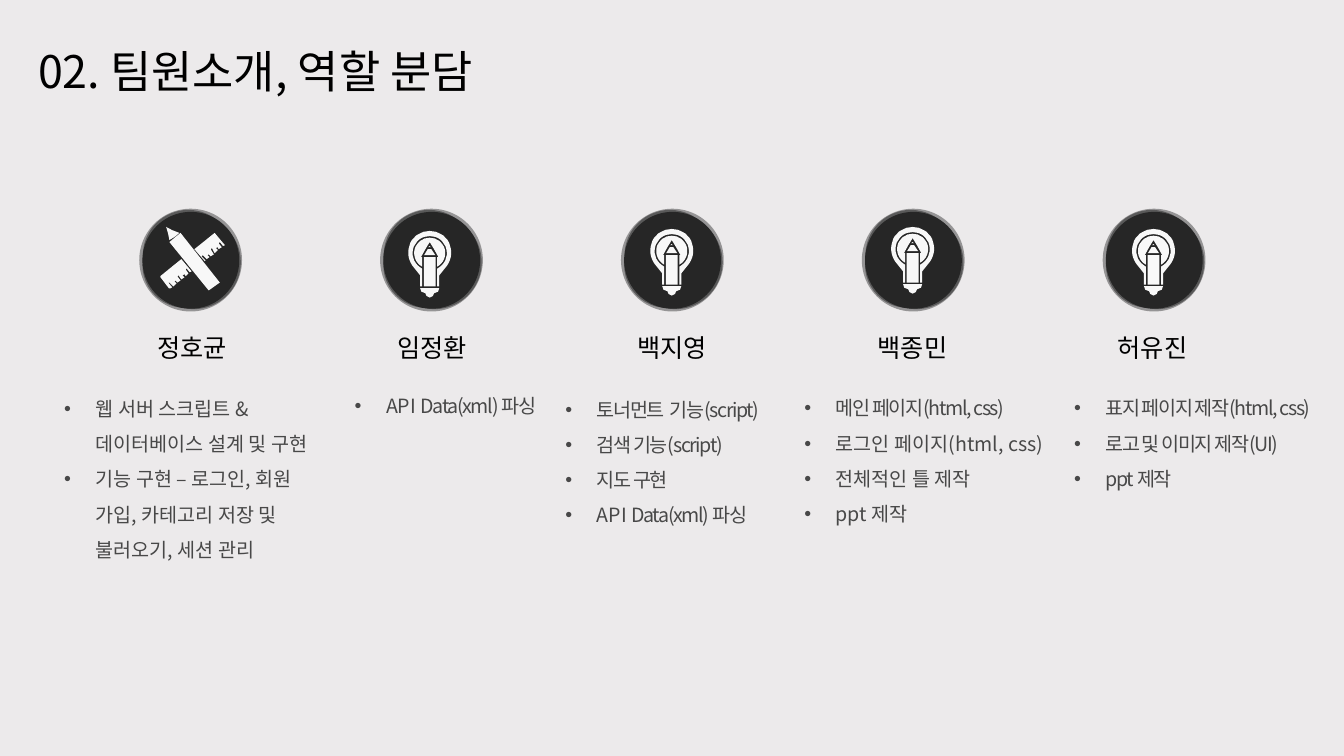
import math
import pptx
import pptx.util
import pptx.dml.color
import pptx.enum.shapes
import pptx.enum.text
import pptx.oxml
import pptx.oxml.ns

Cm, Pt = pptx.util.Cm, pptx.util.Pt
RGB = pptx.dml.color.RGBColor.from_string
TEXT = pptx.enum.text
qn = pptx.oxml.ns.qn
NS = pptx.oxml.ns.nsdecls("a")
HUES = {"back": "ECEAEB", "rim": "404040", "disc": "262626",
        "icon": "F8F8F8", "head": "000000", "body": "484848"}
FACE = "Noto Sans CJK KR"
BOLD = {"title": {"size": Pt(32), "name": FACE},
        "name": {"size": Pt(18), "name": FACE},
        "task": {"size": Pt(14), "name": FACE}}


def arc(mid, rad, start, stop):
    """Points on a circle, with angles in degrees clockwise from the top."""
    turns = [math.radians(start + (stop - start) * n / 32) for n in range(33)]
    return [(rad * math.sin(t), mid - rad * math.cos(t)) for t in turns]


def write(par, text, kind, hue):
    run = par.add_run()
    run.text = text
    for key, value in BOLD[kind].items():
        setattr(run.font, key, value)
    run.font.color.rgb = RGB(HUES[hue])
    props = run.font._element
    props.find(qn("a:latin")).addnext(
        pptx.oxml.parse_xml(f'<a:ea {NS} typeface="{FACE}"/>'))
    return props


# Icon outlines, in tenths of a millimetre
BULB = [
    [(0, 38), (3, 41), (-4, 41)],
    [(4, 46), (14, 61), (-14, 61), (-5, 46)],
    [(-15, 66), (15, 66), (15, 140), (-15, 140)],
    arc(56, 39, 150, -150) + [(-19, 66), (-22, 66), (-11, 46), (0, 28),
                              (11, 46), (22, 66), (19, 66)],
    arc(54.5, 54.5, -126, 126) + [(24, 112), (24, 140), (19, 140)]
    + arc(56, 43, 154, -154) + [(-19, 140), (-24, 140), (-24, 112)],
    [(-24, 144), (24, 144), (21, 153), (11, 157), (8, 164), (0, 168),
     (-8, 164), (-11, 157), (-21, 153)],
]
TOOLS = [
    [(79, 112), (74, 114), (66, 104), (64, 107), (71, 117), (64, 124),
     (61, 119), (56, 122), (61, 127), (53, 132), (46, 122), (43, 124),
     (51, 135), (43, 140), (38, 135), (36, 137), (41, 142), (33, 150),
     (23, 140), (20, 140), (30, 152), (25, 155), (22, 155), (0, 126),
     (0, 124), (53, 81)],
    [(15, 0), (30, 8), (48, 15), (36, 25), (23, 33), (20, 18)],
    [(23, 38), (51, 15), (150, 140), (122, 160)],
    [(137, 15), (163, 46), (158, 48), (150, 38), (147, 41), (155, 51),
     (147, 56), (145, 51), (140, 53), (145, 58), (137, 66), (130, 53),
     (127, 56), (135, 69), (127, 74), (122, 69), (119, 71), (124, 76),
     (117, 81), (107, 71), (104, 74), (114, 84), (112, 86), (86, 56)],
]

# Disc layers: left, top, size, colour, opacity
DISCS = [(0, 0, 2.59, "rim", 50), (0.2, 0.17, 2.36, "rim", 70),
         (0.09, 0.03, 2.29, "rim", 70), (0.08, 0.34, 2.16, "rim", 70),
         (0.08, 0.08, 2.44, "disc", 100)]

# Members: name, icon, icon shift and top, task box, wrap,
# tasks as runs of text and letter spacing
TEAM = [
    ("정호균", TOOLS, 0.53, 5.72, (1.37, 9.55, 7.01, 4.75), True,
     [[("웹 서버 스크립트 & 데이터베이스 설계 및 구현", 0)],
      [("기능 구현 – 로그인, 회원 가입, 카테고리 저장 및 불러오기, 세션 관리", 0)]]),
    ("임정환", BULB, 1.25, 5.82, (8.69, 9.55, 5.16, 1.04), False,
     [[("API ", 0), ("Data(xml) 파싱", -100)]]),
    ("백지영", BULB, 1.28, 5.77, (14, 9.58, 5.44, 3.84), False,
     [[("토너먼트  기능(script)", -100)], [("검색 기능(script)", -100)],
      [("지도 구현", -100)], [("API ", 0), ("Data(xml) 파싱", -100)]]),
    ("백종민", BULB, 1.28, 5.72, (20.02, 9.55, 7.01, 3.84), False,
     [[("메인 페이지(html, css)", -100)], [("로그인 페이지(html, css)", 0)],
      [("전체적인 틀 제작", 0)], [("ppt 제작", 0)]]),
    ("허유진", BULB, 1.28, 5.77, (26.82, 9.55, 7.01, 2.95), False,
     [[("표지 페이지 제작(html, css)", -100)],
      [("로고 및 이미지 제작(UI)", -100)], [("ppt 제작", -100)]]),
]

deck = pptx.Presentation()
deck.slide_width, deck.slide_height = Cm(33.87), Cm(19.05)
slide = deck.slides.add_slide(deck.slide_layouts[6])
slide.background.fill.solid()
slide.background.fill.fore_color.rgb = RGB(HUES["back"])

# Title
title = slide.shapes.add_textbox(Cm(0.71), Cm(0.97), Cm(15.67), Cm(1.63))
title.text_frame.word_wrap = True
write(title.text_frame.paragraphs[0], "02. 팀원소개, 역할 분담", "title", "head")

for col, (name, icon, shift, top, area, wrap, tasks) in enumerate(TEAM):
    left = 3.51 + 6.07 * col

    # Disc
    group = slide.shapes.add_group_shape()
    for dx, dy, size, hue, alpha in DISCS:
        disc = group.shapes.add_shape(
            pptx.enum.shapes.MSO_SHAPE.OVAL,
            Cm(left + dx), Cm(5.26 + dy), Cm(size), Cm(size))
        disc.shadow.inherit = False
        disc.line.fill.background()
        disc.fill.solid()
        disc.fill.fore_color.rgb = RGB(HUES[hue])
        if alpha < 100:
            tint = disc._element.spPr.find(".//" + qn("a:srgbClr"))
            tint.append(pptx.oxml.parse_xml(
                f'<a:alpha {NS} val="{alpha * 1000}"/>'))

    # Icon
    pen = group.shapes.build_freeform(*icon[0][0], scale=Cm(0.01))
    for part in icon:
        pen.move_to(*part[0])
        pen.add_line_segments(part[1:], close=True)
    sign = pen.convert_to_shape(Cm(left + shift), Cm(top))
    sign.shadow.inherit = False
    sign.line.fill.background()
    sign.fill.solid()
    sign.fill.fore_color.rgb = RGB(HUES["icon"])

    # Name
    label = slide.shapes.add_textbox(
        Cm(3.63 + 6.05 * col), Cm(8.24), Cm(2.43), Cm(1.02)).text_frame
    label.word_wrap = False
    label.auto_size = TEXT.MSO_AUTO_SIZE.SHAPE_TO_FIT_TEXT
    label.paragraphs[0].alignment = TEXT.PP_ALIGN.CENTER
    write(label.paragraphs[0], name, "name", "head")

    # Tasks
    frame = slide.shapes.add_textbox(*map(Cm, area)).text_frame
    frame.word_wrap = wrap
    frame.auto_size = TEXT.MSO_AUTO_SIZE.SHAPE_TO_FIT_TEXT
    frame.vertical_anchor = TEXT.MSO_ANCHOR.MIDDLE
    for row, task in enumerate(tasks):
        par = frame.add_paragraph() if row else frame.paragraphs[0]
        par.line_spacing = 1.5
        props = par._p.get_or_add_pPr()
        props.set("marL", str(Cm(0.79)))
        props.set("indent", str(-Cm(0.79)))
        props.append(pptx.oxml.parse_xml(f'<a:buFont {NS} typeface="Arial"/>'))
        props.append(pptx.oxml.parse_xml(f'<a:buChar {NS} char="•"/>'))
        for text, gap in task:
            look = write(par, text, "task", "body")
            look.set("spc", str(gap))
            look.insert(0, pptx.oxml.parse_xml(
                f'<a:ln {NS} w="9525"><a:solidFill><a:srgbClr val="{HUES["body"]}">'
                '<a:alpha val="30000"/></a:srgbClr></a:solidFill></a:ln>'))

deck.save("out.pptx")
